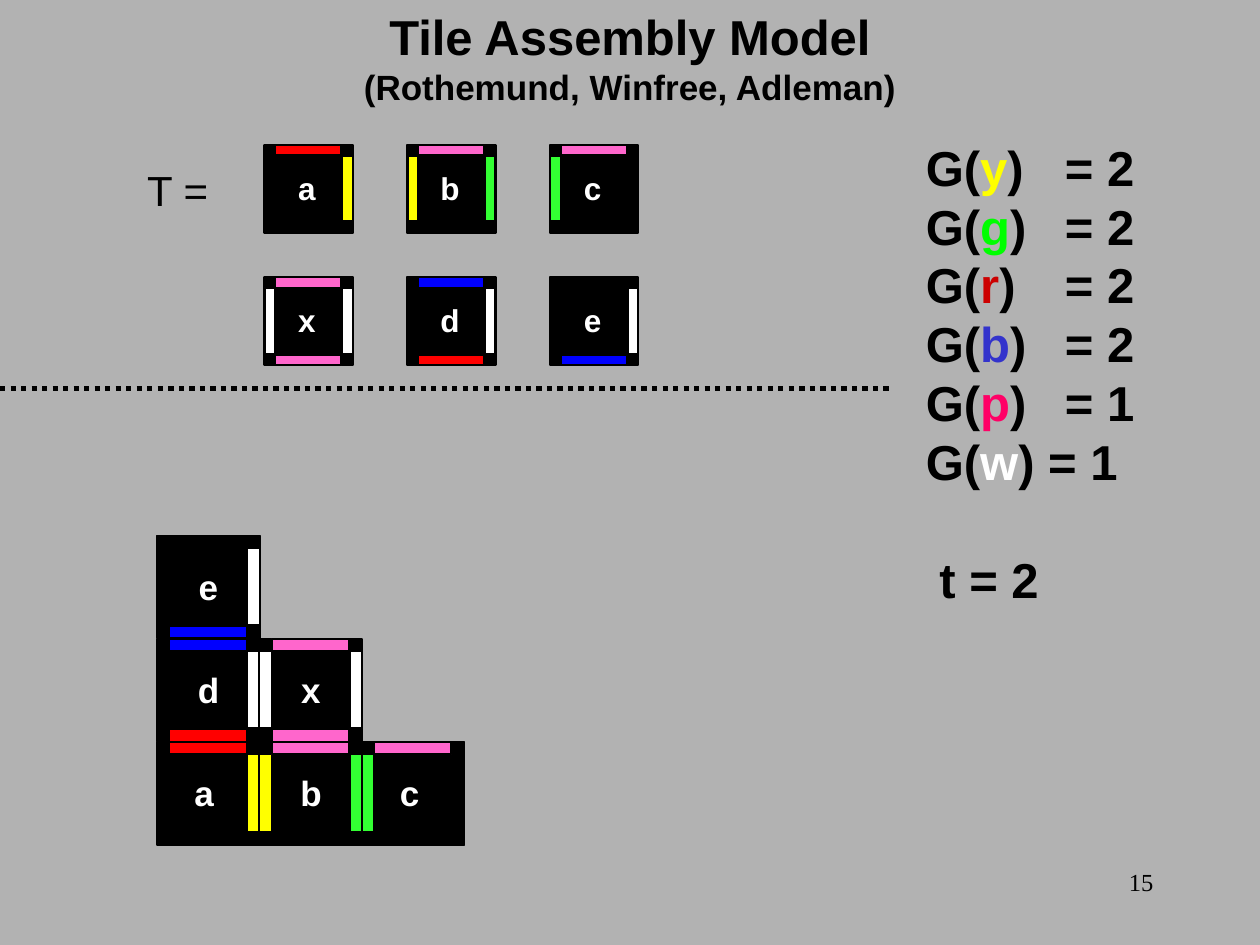
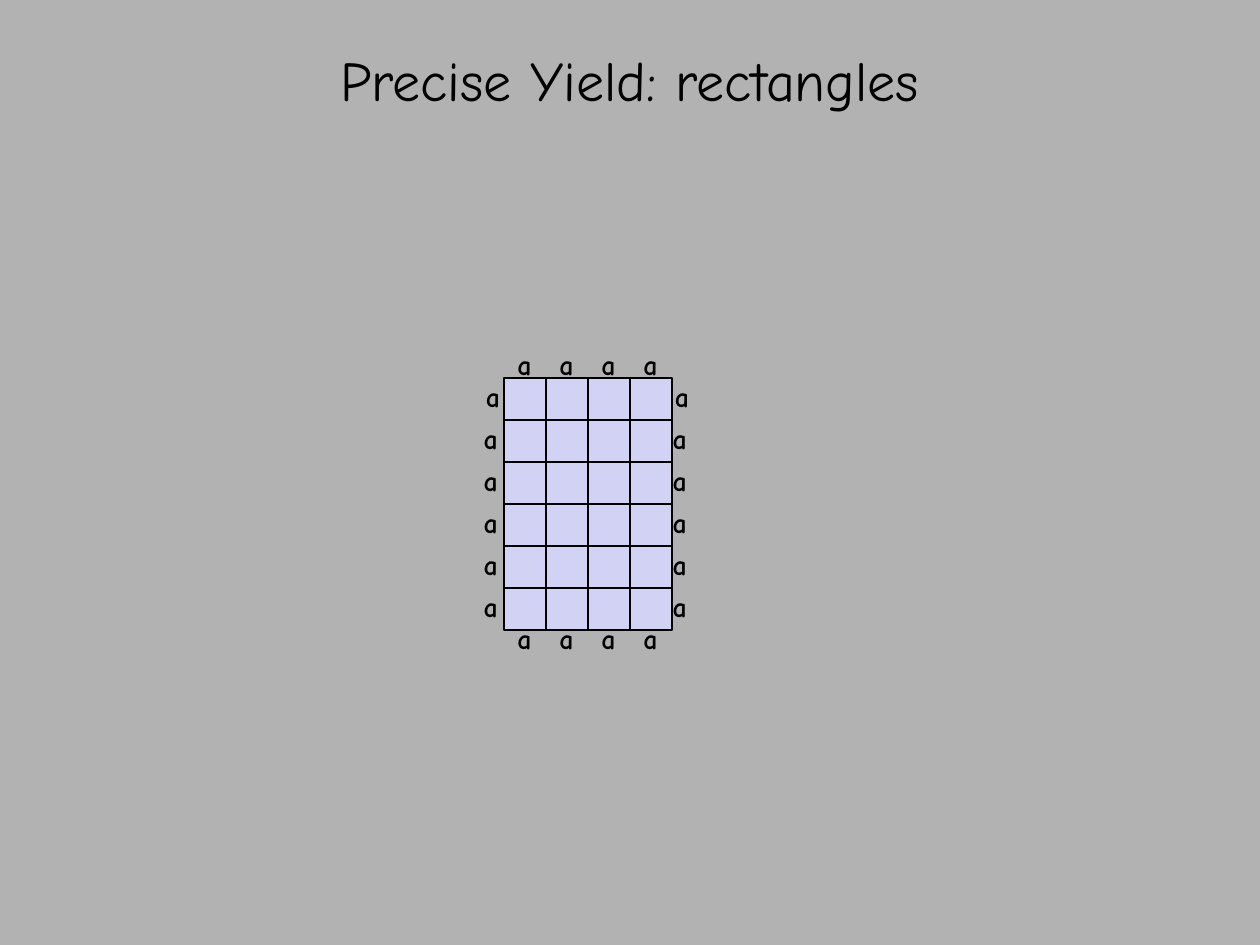
from dataclasses import dataclass

from lxml.etree import SubElement
from pptx import Presentation
from pptx.dml.color import RGBColor
from pptx.enum.dml import MSO_LINE
from pptx.enum.shapes import MSO_CONNECTOR, MSO_SHAPE
from pptx.enum.text import MSO_ANCHOR, PP_ALIGN
from pptx.oxml.ns import qn
from pptx.util import Pt


@dataclass(frozen=True)
class Theme:
    background: str = "B2B2B2"
    ink: str = "000000"
    letter: str = "FFFFFF"
    cell: str = "D2D2F4"
    sans: str = "Arial"
    hand: str = "Comic Neue"
    serif: str = "Times New Roman"
    heading: int = 28
    subheading: int = 20
    hand_title: int = 32
    set_name: int = 24
    edge_label: int = 16
    page_number: int = 14


@dataclass(frozen=True)
class TileStyle:
    side: float
    letter_size: int
    outline: float
    band_ratio: float = 0.12
    glue_ratio: float = 0.75


THEME = Theme()
SET_TILE = TileStyle(side=50.4, letter_size=18, outline=1.25)
STACK_TILE = TileStyle(side=58.8, letter_size=20, outline=1)

GLUES = {"red": "FF0000", "yellow": "FFFF00", "green": "33FF33",
         "blue": "0000FF", "pink": "FF66CC", "white": "FFFFFF"}
TILES = {
    "a": {"top": "red", "right": "yellow"},
    "b": {"left": "yellow", "top": "pink", "right": "green"},
    "c": {"left": "green", "top": "pink"},
    "x": {"left": "white", "top": "pink", "bottom": "pink", "right": "white"},
    "d": {"top": "blue", "bottom": "red", "right": "white"},
    "e": {"bottom": "blue", "right": "white"},
}
# Glue letter, its colour, the text after it
STRENGTHS = [("y", "FFFF00", ")\t= 2"), ("g", "00FF00", ")\t= 2"),
             ("r", "CC0000", ")\t= 2"), ("b", "3333CC", ")\t= 2"),
             ("p", "FF0066", ")\t= 1"), ("w", "FFFFFF", ") = 1")]


def color(value):
    return RGBColor.from_string(value)


def add_page(deck):
    page = deck.slides.add_slide(deck.slide_layouts[6])
    page.background.fill.solid()
    page.background.fill.fore_color.rgb = color(THEME.background)
    return page


def style(font, size, name=THEME.sans, ink=THEME.ink, bold=False):
    font.size, font.name, font.bold = Pt(size), name, bold
    font.color.rgb = color(ink)


def add_box(shapes, left, top, width, height, wrap=True, inset=True):
    box = shapes.add_textbox(Pt(left), Pt(top), Pt(width), Pt(height))
    frame = box.text_frame
    frame.word_wrap = wrap
    if not inset:
        frame.margin_left = frame.margin_right = 0
        frame.margin_top = frame.margin_bottom = 0
    return frame


def add_text(frame, text, size, align=PP_ALIGN.LEFT, **look):
    """Fill the empty first paragraph, or append one."""
    para = frame.paragraphs[0]
    if para.runs:
        para = frame.add_paragraph()
    para.text = text
    para.alignment = align
    for span in para.runs:
        style(span.font, size, **look)
    return para


def add_square_cornered(shapes, left, top, width, height, fill, outline):
    shape = shapes.add_shape(MSO_SHAPE.RECTANGLE, Pt(left), Pt(top),
                             Pt(width), Pt(height))
    shape.shadow.inherit = False
    shape.fill.solid()
    shape.fill.fore_color.rgb = color(fill)
    shape.line.color.rgb = color(THEME.ink)
    shape.line.width = Pt(outline)


def add_tile(shapes, name, left, top, tile, nudge=0):
    """Draw a black tile with its glue bands; nudge shifts the letter."""
    side = tile.side
    band, glue = side * tile.band_ratio, side * tile.glue_ratio
    far = side - band
    places = {"left": (0, band, band, glue), "right": (far, band, band, glue),
              "top": (band, 0, glue, band), "bottom": (band, far, glue, band)}
    add_square_cornered(shapes, left, top, side, side, THEME.ink, tile.outline)
    for edge, glue_name in TILES[name].items():
        x, y, width, height = places[edge]
        add_square_cornered(shapes, left + x, top + y, width, height,
                            GLUES[glue_name], tile.outline)
    width, height = tile.letter_size * 0.6, tile.letter_size * 1.2
    frame = add_box(shapes, left + (side - width) / 2 + nudge,
                    top + (side - height) / 2 - 0.5, width, height,
                    wrap=False, inset=False)
    add_text(frame, name, tile.letter_size, PP_ALIGN.CENTER,
             ink=THEME.letter, bold=True)


def add_tile_set(page):
    shapes = page.shapes.add_group_shape().shapes
    for row, names in enumerate(["abc", "xde"]):
        for column, name in enumerate(names):
            add_tile(shapes, name, 151.2 + 81.6 * column, 82.8 + 75.6 * row,
                     SET_TILE, nudge=-1)


def add_assembly(page):
    shapes = page.shapes.add_group_shape().shapes
    nudges = {"a": -2.5, "c": -2}
    for row, names in enumerate(["e", "dx", "abc"]):
        for column, name in enumerate(names):
            add_tile(shapes, name, 89.7 + 58.5 * column, 306 + 59 * row,
                     STACK_TILE, nudges.get(name, 0))


def add_dotted_line(page, left, right, y):
    line = page.shapes.add_connector(MSO_CONNECTOR.STRAIGHT,
                                     Pt(left), Pt(y), Pt(right), Pt(y))
    line.line.color.rgb = color(THEME.ink)
    line.line.width = Pt(3)
    line.line.dash_style = MSO_LINE.ROUND_DOT
    SubElement(line._element.spPr, qn("a:effectLst"))


def add_tab_stop(para, position):
    stops = SubElement(para._p.get_or_add_pPr(), qn("a:tabLst"))
    SubElement(stops, qn("a:tab"), pos=str(Pt(position)), algn="l")


def add_strengths(page):
    frame = add_box(page.shapes, 522, 74.9, 150, 276.5)
    for index, (letter, ink, ending) in enumerate(STRENGTHS):
        para = frame.add_paragraph() if index else frame.paragraphs[0]
        add_tab_stop(para, 79.5)
        for text, shade in [("G(", THEME.ink), (letter, ink), (ending, THEME.ink)]:
            span = para.add_run()
            span.text = text
            style(span.font, THEME.heading, ink=shade, bold=True)
    threshold = add_text(frame, "t = 2", THEME.heading, bold=True)
    threshold.space_before = Pt(33.6)
    threshold._p.get_or_add_pPr().set("marL", str(Pt(7.8)))


def add_model_page(deck):
    page = add_page(deck)
    number = add_box(page.shapes, 516.2, 491.8, 150, 36)
    add_text(number, "15", THEME.page_number, PP_ALIGN.RIGHT, name=THEME.serif)
    add_text(add_box(page.shapes, 77, 90.7, 63.4, 36, wrap=False),
             "T =", THEME.set_name)
    add_strengths(page)
    add_assembly(page)
    add_tile_set(page)
    add_dotted_line(page, 0, 510, 222)
    title = add_box(page.shapes, 0, 0, 720, 98.6)
    add_text(title, "Tile Assembly Model", THEME.heading,
             PP_ALIGN.CENTER, bold=True)
    add_text(title, "(Rothemund, Winfree, Adleman)", THEME.subheading,
             PP_ALIGN.CENTER, bold=True)


def add_edge_label(page, left, top):
    frame = add_box(page.shapes, left, top, 24, 26.6, wrap=False)
    add_text(frame, "a", THEME.edge_label, name=THEME.hand, bold=True)


def add_rectangle_page(deck):
    page = add_page(deck)
    title = add_box(page.shapes, 0, 21, 720, 48)
    title.vertical_anchor = MSO_ANCHOR.MIDDLE
    add_text(title, "Precise Yield: rectangles", THEME.hand_title,
             PP_ALIGN.CENTER, name=THEME.hand)

    left, top, cell, columns, rows = 288, 216, 24, 4, 6
    for row in range(rows):
        for column in range(columns):
            add_square_cornered(page.shapes, left + cell * column,
                                top + cell * row, cell, cell, THEME.cell, 0.75)
    for column in range(columns):
        for y in (195.1, 351.4):
            add_edge_label(page, left + 0.6 + cell * column, y)
    for row in range(rows):
        shift = 0 if row else 1.2
        for x in (269.3, 377.3):
            add_edge_label(page, x + shift, top - 2.6 + cell * row)


def main():
    deck = Presentation()
    deck.slide_width, deck.slide_height = Pt(720), Pt(540)
    add_model_page(deck)
    add_rectangle_page(deck)
    deck.save("out.pptx")


if __name__ == "__main__":
    main()
